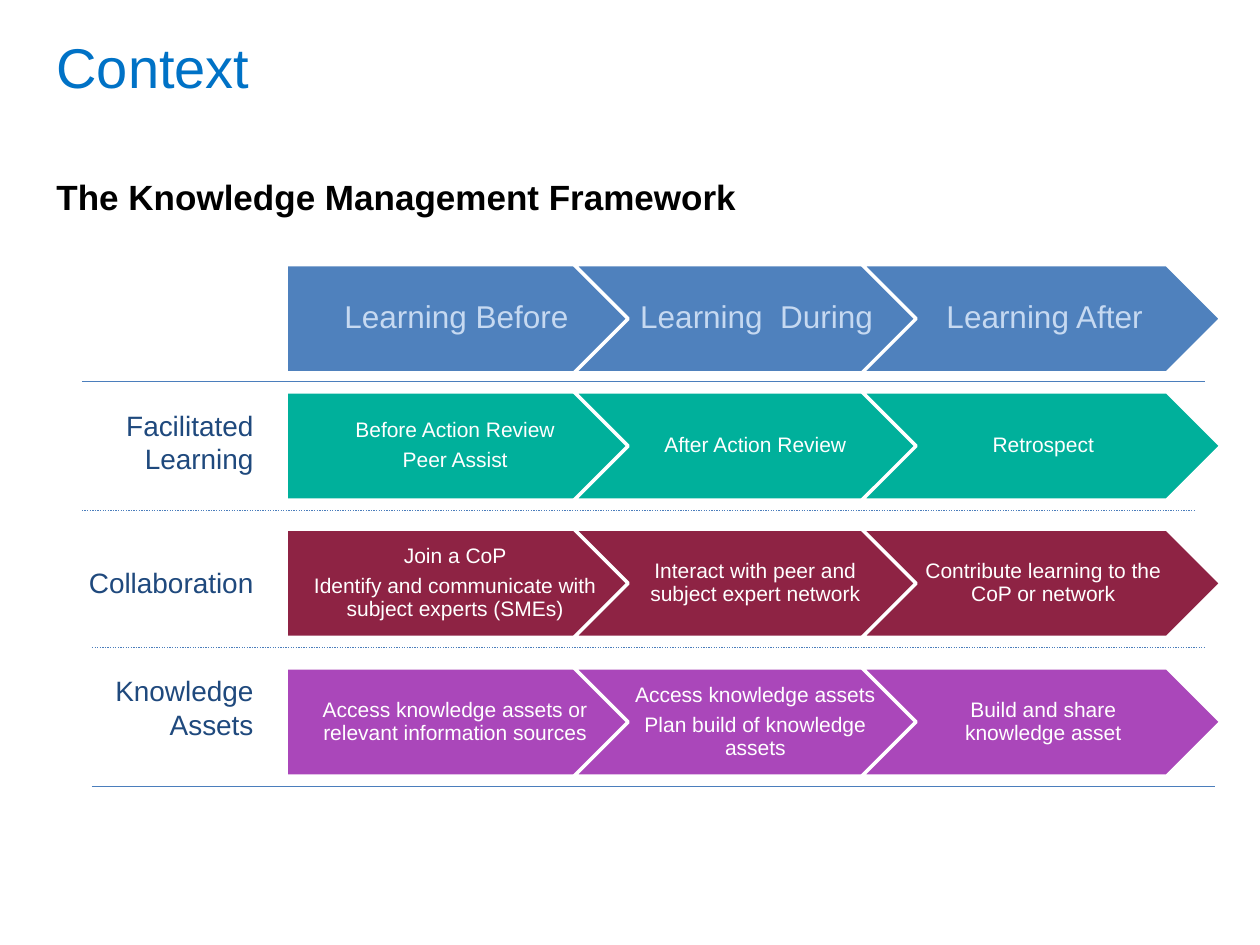
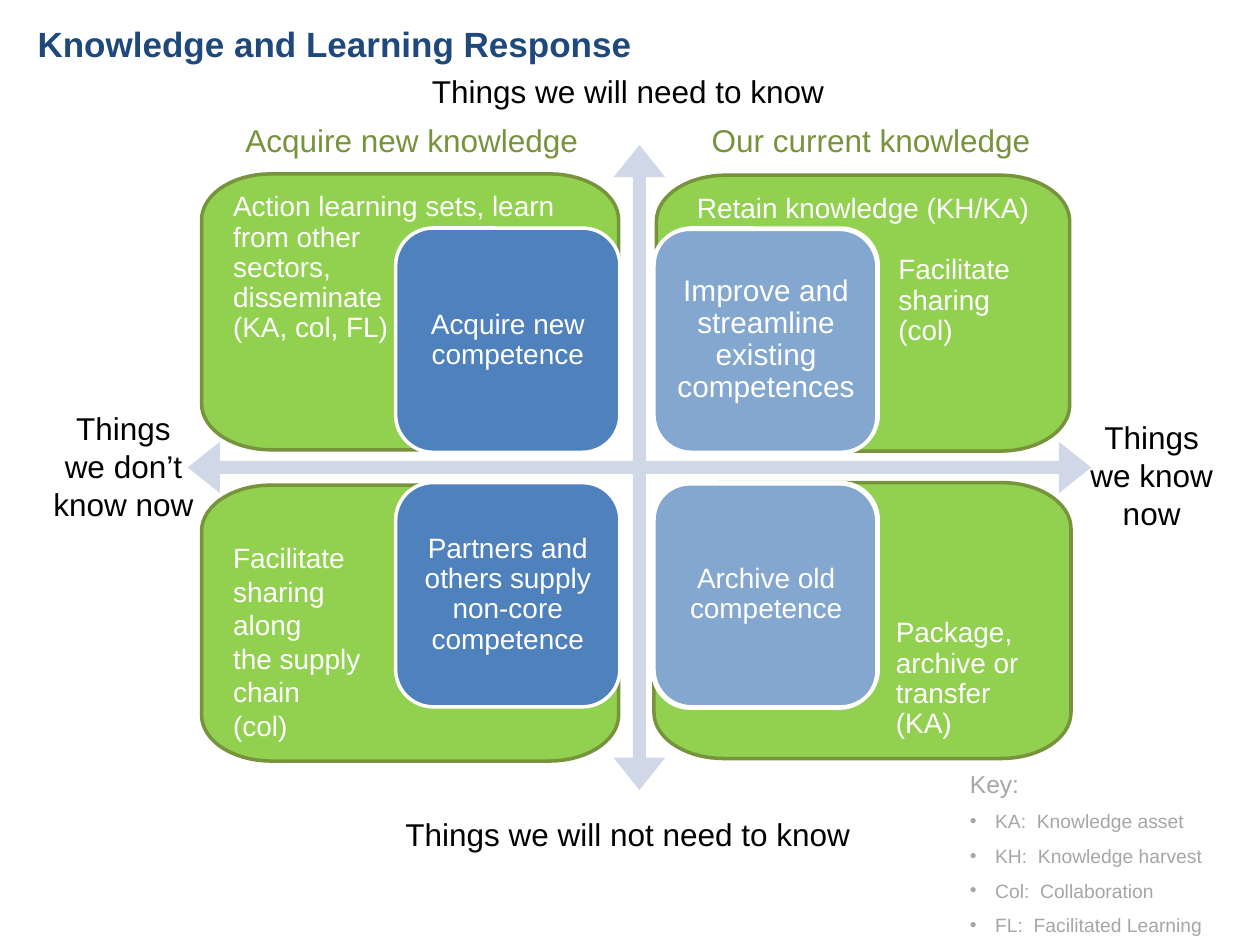
from math import cos, radians, sin

from lxml.etree import SubElement
from pptx import Presentation
from pptx.dml.color import RGBColor
from pptx.enum.dml import MSO_LINE
from pptx.enum.shapes import MSO_CONNECTOR, MSO_SHAPE
from pptx.enum.text import MSO_ANCHOR, PP_ALIGN
from pptx.oxml.ns import qn
from pptx.util import Inches, Pt

FONT = "Arial"
COLORS = {
    "title": "0072C6", "navy": "1F497D", "black": "000000", "white": "FFFFFF",
    "blue": "4F81BD", "pale": "C6D9F1", "teal": "00B09B", "wine": "8E2344",
    "purple": "AA47BA", "rule": "4B7EBC", "green": "92D050", "olive": "77933C",
    "axis": "D0D8E8", "grey": "A6A6A6",
}
RGB = {name: RGBColor.from_string(value) for name, value in COLORS.items()}
LEFT, CENTER, RIGHT = PP_ALIGN.LEFT, PP_ALIGN.CENTER, PP_ALIGN.RIGHT


def write(shape, lines, size, color, align=LEFT, bold=False, spacing=None,
          after=0, inset=None, anchor=MSO_ANCHOR.TOP, indents=None):
    """Fill a shape with paragraphs; inset is (left, top, right, bottom)."""
    frame = shape.text_frame
    frame.text = "\n".join(lines)
    frame.vertical_anchor = anchor
    if inset:
        (frame.margin_left, frame.margin_top,
         frame.margin_right, frame.margin_bottom) = map(Inches, inset)
    for number, paragraph in enumerate(frame.paragraphs):
        paragraph.alignment = align
        paragraph.space_after = Pt(after)
        if spacing:
            paragraph.line_spacing = spacing
        if indents and indents[number]:
            paragraph._p.get_or_add_pPr().set("marL", str(Inches(indents[number])))
        for run in paragraph.runs:
            run.font.name = FONT
            run.font.size = Pt(size)
            run.font.bold = bold
            run.font.color.rgb = RGB[color]
    return frame


def decorate(shape, fill, line=None):
    shape.shadow.inherit = False
    shape.fill.solid()
    shape.fill.fore_color.rgb = RGB[fill]
    if line:
        shape.line.color.rgb = RGB[line]
        shape.line.width = Pt(2)
    else:
        shape.line.fill.background()
    if shape.has_text_frame:
        shape.text_frame.word_wrap = True
    return shape


deck = Presentation()
deck.slide_width, deck.slide_height = Inches(10), Inches(7.5)
framework = deck.slides.add_slide(deck.slide_layouts[6])
response = deck.slides.add_slide(deck.slide_layouts[6])

# Framework: one row of process arrows for each strand
stages = [
    (2.10, "blue", "pale", 18, [["Learning Before"], ["Learning  During"], ["Learning After"]]),
    (3.11, "teal", "white", 12,
     [["Before Action Review", "Peer Assist"], ["After Action Review"], ["Retrospect"]]),
    (4.20, "wine", "white", 12,
     [["Join a CoP", "Identify and communicate with subject experts (SMEs)"],
      ["Interact with peer and subject expert network"],
      ["Contribute learning to the CoP or network"]]),
    (5.30, "purple", "white", 12,
     [["Access knowledge assets or relevant information sources"],
      ["Access knowledge assets", "Plan build of knowledge assets"],
      ["Build and share knowledge asset"]]),
]
for top, fill, ink, size, steps in stages:
    for column, lines in enumerate(steps):
        preset = MSO_SHAPE.CHEVRON if column else MSO_SHAPE.PENTAGON
        step = framework.shapes.add_shape(
            preset, Inches(2.27 + 2.285 * column), Inches(top), Inches(2.85), Inches(0.86))
        decorate(step, fill, "white")
        heading = size == 18
        side = (0.08 if heading else 0.05) + (0 if column else 0.02)
        edge = 0.05 if heading else 0.04
        write(step, lines, size, ink, CENTER, spacing=0.9, after=round(size * 0.35, 1),
              inset=(side, edge, 0.03 if heading else 0.02, edge), anchor=MSO_ANCHOR.MIDDLE)

dividers = [(0.65, 9.56, 3.03, False), (0.65, 9.48, 4.05, True),
            (0.73, 9.56, 5.14, True), (0.73, 9.64, 6.24, False)]
for start, end, y, dotted in dividers:
    divider = framework.shapes.add_connector(
        MSO_CONNECTOR.STRAIGHT, Inches(start), Inches(y), Inches(end), Inches(y))
    divider.line.color.rgb = RGB["rule"]
    divider.line.width = Pt(0.75)
    if dotted:
        divider.line.dash_style = MSO_LINE.ROUND_DOT
    SubElement(divider._element.spPr, qn("a:effectLst"))

# Response: elliptically rounded quadrants behind the axes
quadrants = [
    (1.60, 3.85, 3.31, MSO_ANCHOR.BOTTOM, None, 0, LEFT,
     [(0.1, line) for line in ("Facilitate", "sharing", "along", "the supply", "chain", "(col)")]),
    (1.60, 1.38, 3.31, MSO_ANCHOR.TOP, 0.9, 0, LEFT,
     [(0.1, "Action learning sets, learn from other"), (0.1, "sectors,"),
      (0.1, "disseminate"), (0.1, "(KA, col, FL)")]),
    (5.19, 3.83, 3.31, MSO_ANCHOR.BOTTOM, 0.9, 18, LEFT,
     [(1.77, "Package, archive or transfer (KA)")]),
    (5.21, 1.39, 3.28, MSO_ANCHOR.TOP, 0.9, 18, LEFT,
     [(0, "Retain knowledge (KH/KA)"), (1.77, "Facilitate sharing (col)")]),
]
height, radius_x, radius_y = 2.19, 0.55, 0.365
for left, top, width, anchor, spacing, after, align, entries in quadrants:
    near_x, far_x = left + radius_x, left + width - radius_x
    near_y, far_y = top + radius_y, top + height - radius_y
    corners = [(near_x, near_y, 180), (far_x, near_y, 270), (far_x, far_y, 0), (near_x, far_y, 90)]
    outline = [(Inches(x + radius_x * cos(radians(start + turn))),
                Inches(y + radius_y * sin(radians(start + turn))))
               for x, y, start in corners for turn in range(0, 91, 6)]
    builder = response.shapes.build_freeform(*outline[0], scale=1.0)
    builder.add_line_segments(outline[1:], close=True)
    quadrant = decorate(builder.convert_to_shape(), "green", "olive")
    frame = write(quadrant, [line for _, line in entries], 16, "white", align, spacing=spacing,
                  after=after, inset=(0.15,) * 4, anchor=anchor,
                  indents=[indent for indent, _ in entries])
    if not entries[0][0]:
        frame.paragraphs[0].alignment = CENTER

axes = response.shapes.add_shape(
    MSO_SHAPE.QUAD_ARROW, Inches(1.49), Inches(1.15), Inches(7.17), Inches(5.12))
decorate(axes, "axis")
for index, share in enumerate((0.02, 0.04, 0.05)):
    axes.adjustments[index] = share

competences = [
    (5.19, 1.81, 17, "Improve and streamline existing competences"),
    (5.19, 3.83, 16, "Archive old competence"),
    (3.14, 3.83, 16, "Partners and others supply non-core competence"),
    (3.14, 1.81, 16, "Acquire new competence"),
]
side = Inches(1.78)
for left, top, size, text in competences:
    competence = response.shapes.add_shape(
        MSO_SHAPE.ROUNDED_RECTANGLE, Inches(left), Inches(top), side, side)
    decorate(competence, "blue", "white")
    write(competence, [text], size, "white", CENTER, spacing=0.9, after=round(size * 0.35, 1),
          inset=(0.07,) * 4, anchor=MSO_ANCHOR.MIDDLE)

for top in (1.82, 3.84):
    tint = response.shapes.add_shape(
        MSO_SHAPE.ROUNDED_RECTANGLE, Inches(5.18), Inches(top), side, side)
    decorate(tint, "white", "white")
    tint_color = tint._element.spPr.find(qn("a:solidFill")).find(qn("a:srgbClr"))
    SubElement(tint_color, qn("a:alpha"), val="30000")

# Titles and labels: slide, place, wrap, lines, size, colour, alignment, bold
labels = [
    (framework, (0.35, 0.21, 7.89, 0.64), True, ["Context"], 32, "title", LEFT, False),
    (framework, (0.35, 1.34, 5.64, 0.44), False,
     ["The Knowledge Management Framework"], 20, "black", LEFT, True),
    (framework, (0.72, 3.19, 1.39, 0.64), True, ["Facilitated Learning"], 16, "navy", RIGHT, False),
    (framework, (0.59, 4.44, 1.52, 0.37), False, ["Collaboration"], 16, "navy", RIGHT, False),
    (framework, (0.39, 5.30, 1.72, 0.64), True, ["Knowledge Assets"], 16, "navy", RIGHT, False),
    (response, (0.20, 0.13, 4.96, 0.44), False,
     ["Knowledge and Learning Response"], 20, "navy", LEFT, True),
    (response, (3.33, 0.52, 3.34, 0.40), False,
     ["Things we will need to know"], 18, "black", LEFT, False),
    (response, (3.12, 6.42, 3.76, 0.40), False,
     ["Things we will not need to know"], 18, "black", LEFT, False),
    (response, (0.23, 3.20, 1.50, 1.01), True,
     ["Things", "we don’t know now"], 18, "black", CENTER, False),
    (response, (8.39, 3.27, 1.50, 1.01), True,
     ["Things", "we know now"], 18, "black", CENTER, False),
    (response, (1.85, 0.91, 2.87, 0.40), False, ["Acquire new knowledge"], 18, "olive", LEFT, False),
    (response, (5.55, 0.91, 2.75, 0.40), False, ["Our current knowledge"], 18, "olive", LEFT, False),
]
for slide, place, wrap, lines, size, color, align, bold in labels:
    label = slide.shapes.add_textbox(*map(Inches, place))
    label.text_frame.word_wrap = wrap
    write(label, lines, size, color, align, bold)

key = response.shapes.add_textbox(Inches(7.6), Inches(6.05), Inches(2.06), Inches(1.45))
key.text_frame.word_wrap = False
terms = ["KA:  Knowledge asset", "KH:  Knowledge harvest",
         "Col:  Collaboration", "FL:  Facilitated Learning"]
key_frame = write(key, ["Key:"] + terms, 11, "grey", indents=[0] + [0.2] * len(terms))
key_frame.paragraphs[0].runs[0].font.size = Pt(14)
for term in key_frame.paragraphs[1:]:
    term.line_spacing = 1.5
    properties = term._p.get_or_add_pPr()
    properties.set("indent", str(Inches(-0.2)))
    SubElement(properties, qn("a:buFont"), typeface=FONT)
    SubElement(properties, qn("a:buChar"), char="•")

deck.save("out.pptx")
